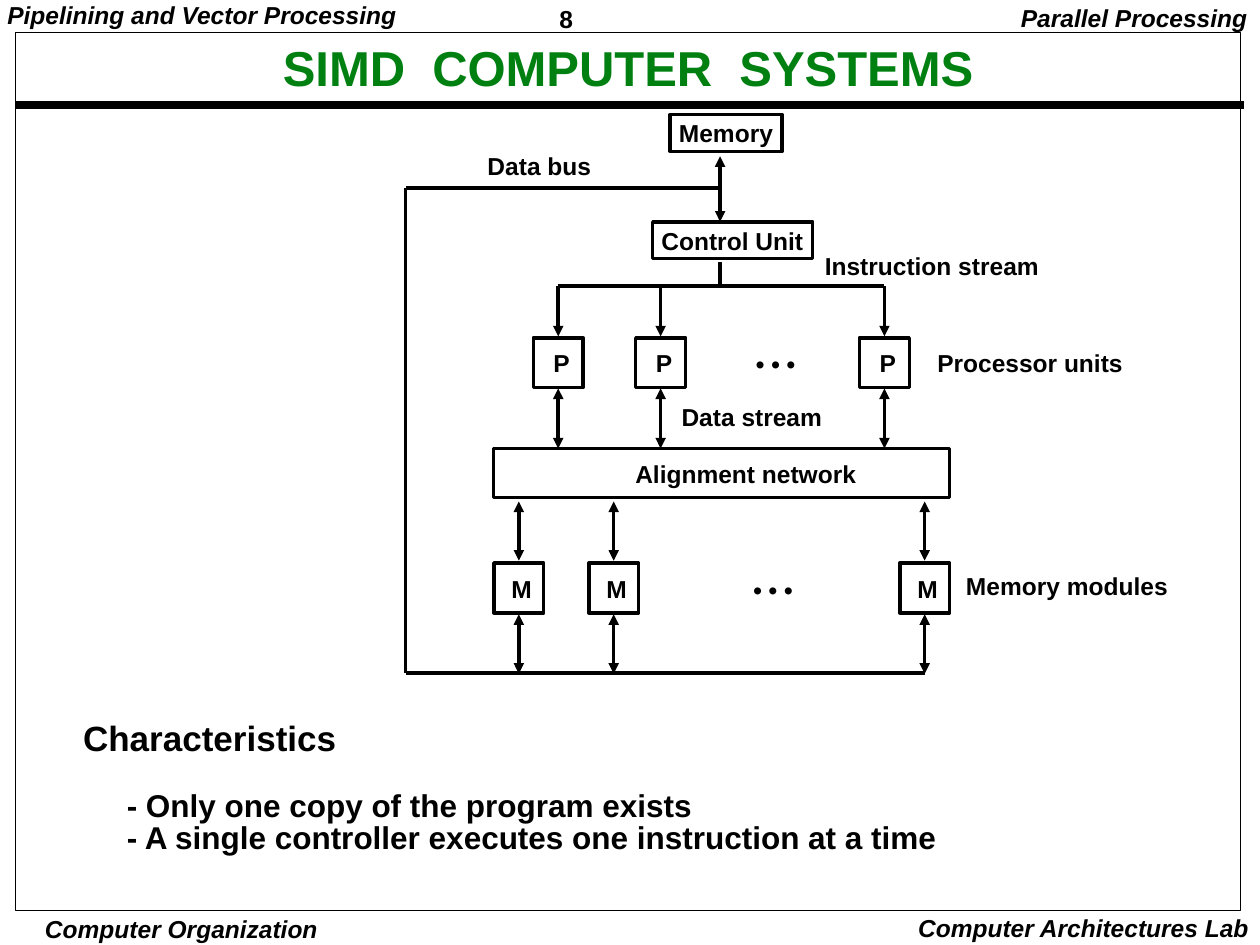
from pptx import Presentation
from pptx.dml.color import RGBColor
from pptx.enum.shapes import MSO_CONNECTOR, MSO_SHAPE
from pptx.enum.text import MSO_ANCHOR, MSO_AUTO_SIZE, PP_ALIGN
from pptx.oxml.ns import qn
from pptx.util import Pt
from lxml.etree import SubElement

THEME = {
    "font": "Arial",
    "ink": RGBColor(0, 0, 0),
    "green": RGBColor(0x00, 0x80, 0x11),
    "title": 28, "head": 20, "point": 18, "label": 14,
    "thin": 0.5, "line": 2, "thick": 4.5,
}
SLIM = (5, 2, 5, 2)
WIDE = (7.2, 3.6, 7.2, 3.6)
TIGHT = (2, 1, 2, 1)
LEFT, MID, RIGHT = PP_ALIGN.LEFT, PP_ALIGN.CENTER, PP_ALIGN.RIGHT

EDGES = [
    ("8", (314.6, 0, 77.8, 21), SLIM, LEFT, 1.01, False),
    ("Pipelining and Vector Processing", (-0.8, 0, 240, 19.4), SLIM, LEFT, 0.9, True),
    ("Parallel Processing", (570, 0, 150, 22.3), WIDE, RIGHT, 0.9, True),
    ("Computer Organization", (18.7, 521.3, 170, 18.7), TIGHT, MID, 1, True),
    ("Computer Architectures Lab", (510.8, 518.4, 210, 23.8), WIDE, RIGHT, 1, True),
]
LABELS = [
    ("Data bus", 273.6, 86.4, 78),
    ("Instruction stream", 466.3, 143.3, 142),
    ("Processor units", 530.6, 198.7, 126),
    ("Data stream", 384.5, 229.7, 100),
    ("Memory modules", 547, 326.2, 135),
    ("• • •", 427, 199.4, 42),
    ("• • •", 425.5, 328.3, 42),
]
BOXES = [
    ("Memory", (383, 65.5, 64, 21), SLIM, 1.01),
    ("Control Unit", (373, 126.7, 91.4, 21), SLIM, 1.01),
    ("Alignment network", (282, 256.3, 260.6, 28.1), (81, 8, 5, 2), 0.9),
]
SIDE = 28.5
ROWS = [
    ("P", (319, 377.5, 505.4), 193, 11.5, [(163.5, 192.2, "end"), (222, 256.3, "both")]),
    ("M", (296.5, 350.7, 528.4), 321.7, 10, [(286.6, 320.4, "both"), (351, 385, "both")]),
]
WIRES = [
    ((411.5, 89.3), (411.5, 126.7), "both"),
    ((411.5, 149.8), (411.5, 163.5), ""),
    ((319, 163.5), (505.4, 163.5), ""),
    ((528.4, 384.5), (231.8, 384.5), ""),
    ((231.8, 384.5), (231.8, 107.3), ""),
    ((231.8, 107.3), (411.5, 107.3), ""),
]
NOTES = [
    ("Characteristics", "head", 0, 0),
    ("- Only one copy of the program exists", "point", 25, 18.8),
    ("- A single controller executes one instruction at a time", "point", 25, 0),
]
ENDS = {"": [], "end": ["a:tailEnd"], "both": ["a:headEnd", "a:tailEnd"]}


def put(item, look):
    for name, value in look.items():
        setattr(item, name, value)


def style(frame, inset, grow=True, wrap=False, anchor=MSO_ANCHOR.TOP):
    sides = ("margin_left", "margin_top", "margin_right", "margin_bottom")
    put(frame, dict(zip(sides, map(Pt, inset))))
    fit = MSO_AUTO_SIZE.SHAPE_TO_FIT_TEXT if grow else MSO_AUTO_SIZE.NONE
    put(frame, {"word_wrap": wrap, "auto_size": fit, "vertical_anchor": anchor})


def write(para, text, size="label", tint="ink", align=LEFT, space=0.9, slant=False):
    put(para, {"alignment": align, "line_spacing": space})
    run = para.add_run()
    run.text = text
    put(run.font, {"name": THEME["font"], "size": Pt(THEME[size]),
                   "bold": True, "italic": slant})
    run.font.color.rgb = THEME[tint]


def ink(line, width):
    line.color.rgb = THEME["ink"]
    line.width = Pt(THEME[width])


def area(slide, spot):
    return slide.shapes.add_textbox(*map(Pt, spot)).text_frame


def box(slide, spot, width="line"):
    shape = slide.shapes.add_shape(MSO_SHAPE.RECTANGLE, *map(Pt, spot))
    shape.shadow.inherit = False
    shape.fill.background()
    ink(shape.line, width)
    return shape.text_frame


def named(slide, text, spot, inset, space=0.9):
    frame = box(slide, spot)
    style(frame, inset, grow=False)
    write(frame.paragraphs[0], text, space=space)


def wire(slide, start, stop, ends="", width="line"):
    link = slide.shapes.add_connector(MSO_CONNECTOR.STRAIGHT, *map(Pt, start + stop))
    ink(link.line, width)
    for tag in ENDS[ends]:
        SubElement(link.line._get_or_add_ln(), qn(tag), type="triangle")
    SubElement(link._element.spPr, qn("a:effectLst"))


def main():
    deck = Presentation()
    put(deck, {"slide_width": Pt(720), "slide_height": Pt(540)})
    slide = deck.slides.add_slide(deck.slide_layouts[6])

    wire(slide, (9, 59.8), (710.6, 59.8), width="thick")
    box(slide, (9, 18.7, 700, 501.8), "thin")
    for text, spot, inset, align, space, slant in EDGES:
        frame = area(slide, spot)
        style(frame, inset)
        write(frame.paragraphs[0], text, align=align, space=space, slant=slant)

    frame = area(slide, (45, 18.7, 627.8, 43.2))
    style(frame, SLIM, wrap=True, grow=False, anchor=MSO_ANCHOR.MIDDLE)
    write(frame.paragraphs[0], "SIMD  COMPUTER  SYSTEMS", "title", "green", MID)

    for text, spot, inset, space in BOXES:
        named(slide, text, spot, inset, space)
    for text, mids, top, pad, spans in ROWS:
        for mid in mids:
            named(slide, text, (mid - SIDE / 2, top, SIDE, SIDE), (pad, 8, 0, 0))
            for high, low, ends in spans:
                wire(slide, (mid, high), (mid, low), ends)
    for start, stop, ends in WIRES:
        wire(slide, start, stop, ends)
    for text, left, top, width in LABELS:
        frame = area(slide, (left, top, width, 19.4))
        style(frame, SLIM)
        write(frame.paragraphs[0], text)

    frame = area(slide, (42.5, 411, 510, 79.2))
    style(frame, SLIM)
    for rank, (text, size, dent, gap) in enumerate(NOTES):
        para = frame.add_paragraph() if rank else frame.paragraphs[0]
        write(para, text, size, space=0.85)
        para.space_before = Pt(gap)
        para._p.get_or_add_pPr().set("marL", str(int(Pt(dent))))

    deck.save("out.pptx")


if __name__ == "__main__":
    main()
